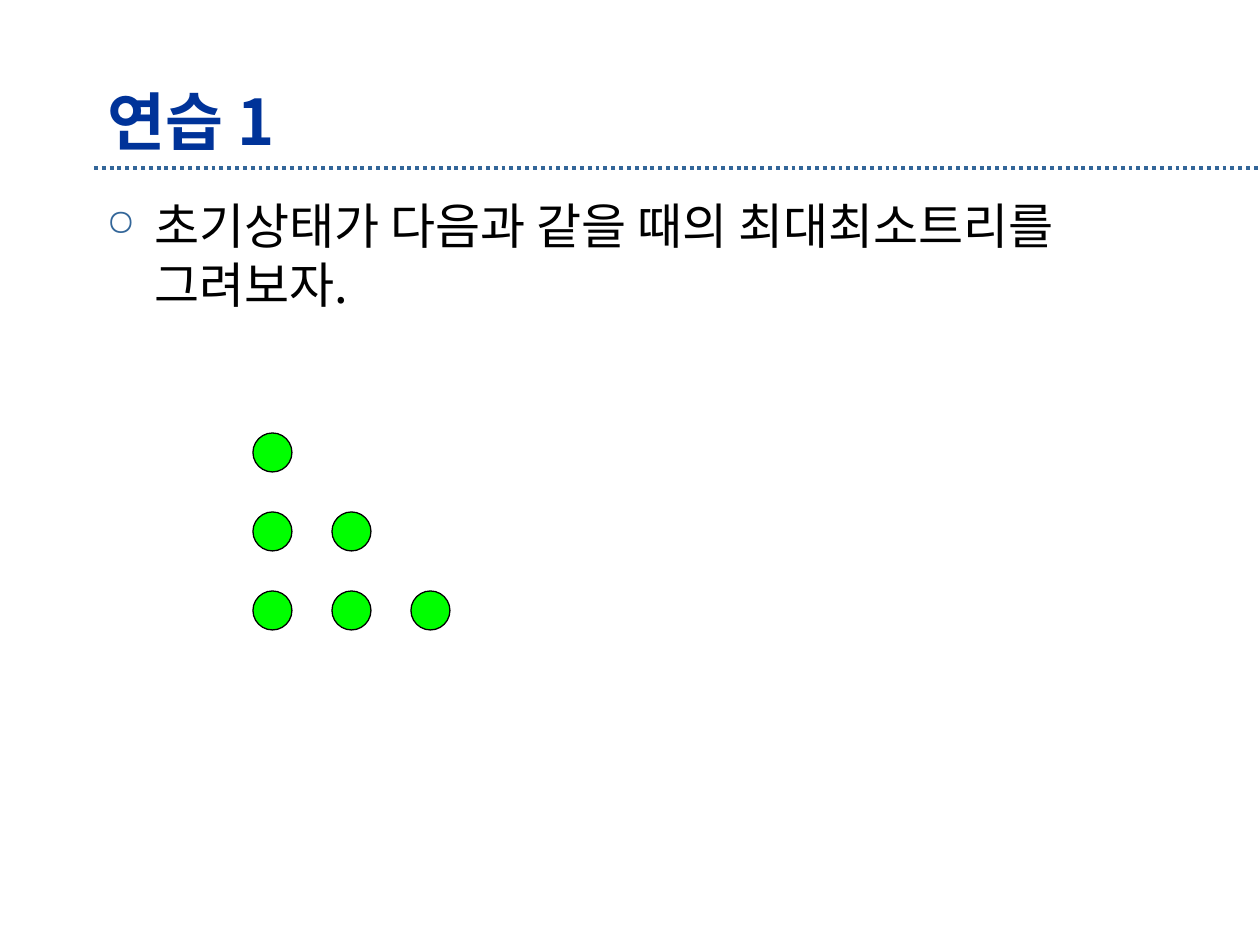
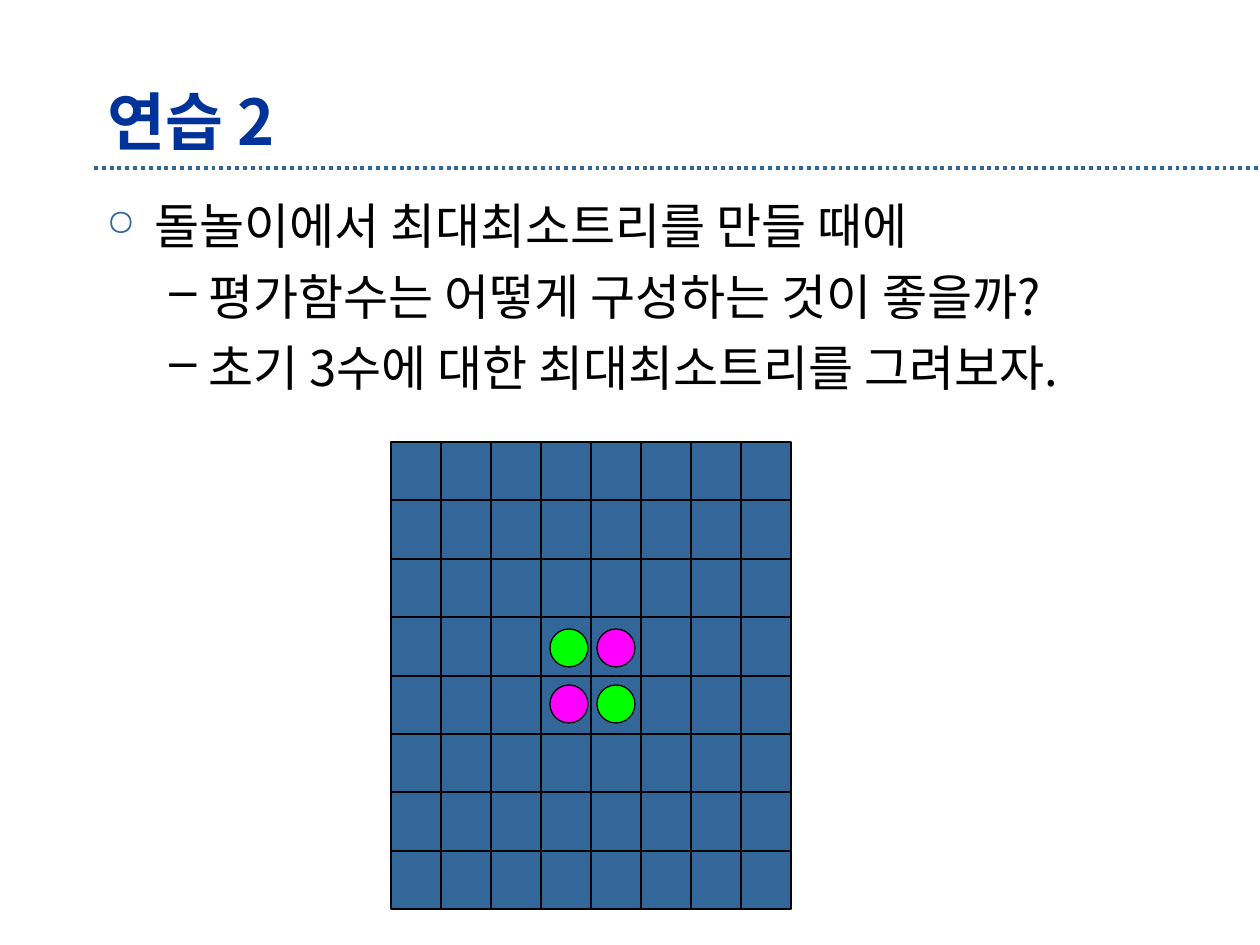
from typing import NamedTuple

from lxml import etree
from pptx import Presentation
from pptx.dml.color import RGBColor
from pptx.enum.dml import MSO_LINE
from pptx.enum.shapes import MSO_CONNECTOR, MSO_SHAPE
from pptx.enum.text import MSO_ANCHOR, PP_ALIGN
from pptx.oxml.ns import qn
from pptx.util import Pt

PX_PER_INCH = 126
EMU_PER_INCH = 914400

FONT = "Noto Sans CJK KR"
BLACK = RGBColor(0x00, 0x00, 0x00)
NAVY = RGBColor(0x00, 0x33, 0x99)
STEEL = RGBColor(0x33, 0x66, 0x99)
GREEN = RGBColor(0x00, 0xFF, 0x00)
MAGENTA = RGBColor(0xFF, 0x00, 0xFF)

OVAL = MSO_SHAPE.OVAL
RECTANGLE = MSO_SHAPE.RECTANGLE
STRAIGHT = MSO_CONNECTOR.STRAIGHT
DOTTED = MSO_LINE.ROUND_DOT
LEFT = PP_ALIGN.LEFT
TOP = MSO_ANCHOR.TOP
MIDDLE = MSO_ANCHOR.MIDDLE

TITLE_FORMAT = {"size": Pt(36), "bold": True, "name": FONT}
BODY_FORMAT = {"size": Pt(28), "bold": False, "name": FONT}
BODY_SPACING = {"space_before": Pt(7), "line_spacing": Pt(33.7)}

BOARD_CELLS = 8


class Box(NamedTuple):
    left: int
    top: int
    width: int
    height: int


class Bullet(NamedTuple):
    symbol: str
    color: RGBColor
    percent: int
    margin: int
    hanging: int


class Item(NamedTuple):
    text: str
    level: int = 0


TITLE_BOX = Box(95, 84, 1081, 73)
BODY_BOX = Box(94, 189, 1092, 651)
BOARD = Box(391, 442, 400, 467)
BULLETS = [Bullet("○", STEEL, 75, 48, 48), Bullet("–", BLACK, 100, 102, 39)]


def px(length: int) -> int:
    return round(length * EMU_PER_INCH / PX_PER_INCH)


def set_values(target, values: dict) -> None:
    for name, value in values.items():
        setattr(target, name, value)


def add_span(para, text: str, values: dict, color: RGBColor) -> None:
    span = para.add_run()
    span.text = text
    set_values(span.font, values)
    span.font.color.rgb = color
    east_asian = etree.SubElement(span.font._element, qn("a:ea"))
    east_asian.set("typeface", FONT)


def add_frame(page, box: Box, anchor):
    frame = page.shapes.add_textbox(*map(px, box)).text_frame
    set_values(frame, {"word_wrap": True, "vertical_anchor": anchor})
    return frame


def set_bullet(para, bullet: Bullet) -> None:
    properties = para._p.get_or_add_pPr()
    properties.set("marL", str(px(bullet.margin)))
    properties.set("indent", str(px(-bullet.hanging)))
    color = etree.SubElement(properties, qn("a:buClr"))
    etree.SubElement(color, qn("a:srgbClr")).set("val", str(bullet.color))
    size = etree.SubElement(properties, qn("a:buSzPct"))
    size.set("val", str(bullet.percent * 1000))
    etree.SubElement(properties, qn("a:buChar")).set("char", bullet.symbol)


def add_rule(page) -> None:
    """Dotted line under the title, running to the right edge."""
    rule = page.shapes.add_connector(
        STRAIGHT, px(94), px(168), px(1260), px(168))
    rule.line.color.rgb = STEEL
    set_values(rule.line, {"width": Pt(2.25), "dash_style": DOTTED})
    etree.SubElement(rule._element.spPr, qn("a:effectLst"))


def add_page(deck, title: str, items: list[Item]):
    page = deck.slides.add_slide(deck.slide_layouts[6])
    add_rule(page)
    heading = add_frame(page, TITLE_BOX, MIDDLE).paragraphs[0]
    heading.alignment = LEFT
    add_span(heading, title, TITLE_FORMAT, NAVY)
    body = add_frame(page, BODY_BOX, TOP)
    for index, item in enumerate(items):
        para = body.add_paragraph() if index else body.paragraphs[0]
        set_values(para, {"level": item.level, "alignment": LEFT,
                          **BODY_SPACING})
        set_bullet(para, BULLETS[item.level])
        add_span(para, item.text, BODY_FORMAT, BLACK)
    return page


def add_piece(shapes, kind, box: Box, fill: RGBColor) -> None:
    piece = shapes.add_shape(kind, *map(px, box))
    piece.shadow.inherit = False
    piece.fill.solid()
    piece.fill.fore_color.rgb = fill
    piece.line.color.rgb = BLACK
    piece.line.width = Pt(0.75)


def add_stone_triangle(page) -> None:
    """Rows of one, two and three stones."""
    left, top, step, size = 253, 433, 79, 39
    for row in range(3):
        for column in range(row + 1):
            place = Box(left + column * step, top + row * step, size, size)
            add_piece(page.shapes, OVAL, place, GREEN)


def add_game_board(page) -> None:
    """Square grid with the four starting discs in its middle."""
    board = page.shapes.add_group_shape().shapes
    width = BOARD.width // BOARD_CELLS
    edges = [BOARD.top + round(BOARD.height * row / BOARD_CELLS)
             for row in range(BOARD_CELLS + 1)]
    for top, bottom in zip(edges, edges[1:]):
        for column in range(BOARD_CELLS):
            cell = Box(BOARD.left + column * width, top, width, bottom - top)
            add_piece(board, RECTANGLE, cell, STEEL)
    for row in range(2):
        for column in range(2):
            disc = Box(550 + column * 47, 629 + row * 56, 38, 38)
            add_piece(board, OVAL, disc, GREEN if row == column else MAGENTA)


def main() -> None:
    deck = Presentation()
    set_values(deck, {"slide_width": px(1260), "slide_height": px(945)})
    add_stone_triangle(add_page(deck, "연습 1", [
        Item("초기상태가 다음과 같을 때의 최대최소트리를 그려보자."),
    ]))
    add_game_board(add_page(deck, "연습 2", [
        Item("돌놀이에서 최대최소트리를 만들 때에"),
        Item("평가함수는 어떻게 구성하는 것이 좋을까?", 1),
        Item("초기 3수에 대한 최대최소트리를 그려보자.", 1),
    ]))
    deck.save("out.pptx")


if __name__ == "__main__":
    main()
